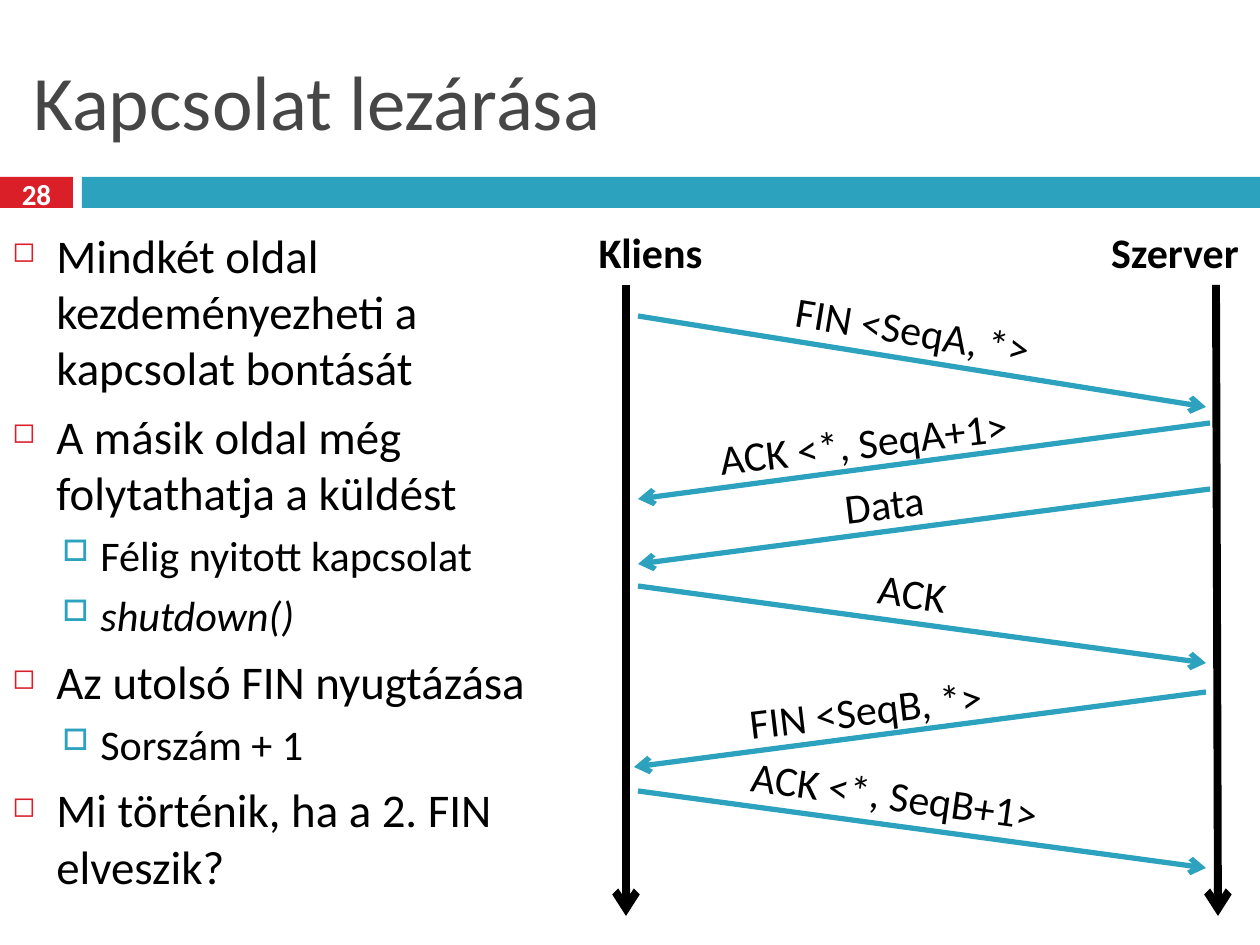
import pptx
import pptx.dml.color
import pptx.enum.shapes
import pptx.enum.text
import pptx.oxml.ns
import pptx.util
from lxml import etree

RGBColor = pptx.dml.color.RGBColor
BLACK = RGBColor(0x00, 0x00, 0x00)
WHITE = RGBColor(0xFF, 0xFF, 0xFF)
GRAY = RGBColor(0x46, 0x46, 0x46)
RED = RGBColor(0xDA, 0x1F, 0x28)
TEAL = RGBColor(0x2D, 0xA2, 0xBF)

ALIGN = pptx.enum.text.PP_ALIGN
ANCHOR = pptx.enum.text.MSO_ANCHOR
PX_PER_INCH = 126

# level: (size, left margin, first-line indent, space before, bullet, colour, bullet %)
LEVELS = [
    (26.8, 44, -44, 7, "◻", RED, 60),
    (24.1, 88, -38, 5.5, "□", TEAL, 70),
]

POINTS = [
    (0, "Mindkét oldal kezdeményezheti a kapcsolat bontását"),
    (0, "A másik oldal még folytathatja a küldést"),
    (1, "Félig nyitott kapcsolat"),
    (1, "shutdown()"),
    (0, "Az utolsó FIN nyugtázása"),
    (1, "Sorszám + 1"),
    (0, "Mi történik, ha a 2. FIN elveszik?"),
]

# text, arrow start, arrow end, label left, top and width, label rotation
MESSAGES = [
    ("FIN <SeqA, *>", (638, 316), (1206, 407), (782, 301, 299), 9.4),
    ("ACK <*, SeqA+1>", (1210, 423), (638, 499), (706, 407, 367), -6.9),
    ("Data", (1210, 489), (638, 564), (832, 471, 115), -6.9),
    ("ACK", (638, 586), (1206, 663), (866, 562, 112), 8),
    ("FIN <SeqB, *>", (1206, 692), (634, 767), (736, 675, 299), -6.9),
    ("ACK <*, SeqB+1>", (638, 791), (1206, 868), (738, 767, 367), 8),
]
LABEL_HEIGHT = 63


def px(length):
    return pptx.util.Emu(round(length * 914400 / PX_PER_INCH))


def add_xml(parent, tag, **attributes):
    return etree.SubElement(parent, pptx.oxml.ns.qn(tag), **attributes)


class SlideBuilder:
    font = "Calibri"

    def __init__(self, slide):
        self.slide = slide

    def bar(self, left, top, width, height, color):
        bar = self.slide.shapes.add_shape(
            pptx.enum.shapes.MSO_SHAPE.RECTANGLE,
            px(left), px(top), px(width), px(height))
        bar.shadow.inherit = False
        bar.fill.solid()
        bar.fill.fore_color.rgb = color
        bar.line.fill.background()

    def style(self, paragraph, size, color=BLACK, bold=False, italic=False):
        for run in paragraph.runs:
            run.font.name = self.font
            run.font.size = pptx.util.Pt(size)
            run.font.color.rgb = color
            run.font.bold = bold
            run.font.italic = italic

    def text(self, text, left, top, width, height, size=24, color=BLACK, bold=False,
             align=ALIGN.LEFT, anchor=ANCHOR.TOP, wrap=False, rotation=0):
        box = self.slide.shapes.add_textbox(px(left), px(top), px(width), px(height))
        box.rotation = rotation
        frame = box.text_frame
        frame.word_wrap = wrap
        frame.vertical_anchor = anchor
        frame.text = text
        frame.paragraphs[0].alignment = align
        self.style(frame.paragraphs[0], size, color, bold)

    def bullets(self, points, left, top, width, height):
        box = self.slide.shapes.add_textbox(px(left), px(top), px(width), px(height))
        frame = box.text_frame
        frame.word_wrap = True
        frame.text = "\n".join(text for _, text in points)
        for paragraph, (level, text) in zip(frame.paragraphs, points):
            size, margin, indent, space, bullet, color, percent = LEVELS[level]
            paragraph.level = level
            paragraph.space_before = pptx.util.Pt(space)
            self.style(paragraph, size, italic=text.endswith("()"))
            properties = paragraph._p.get_or_add_pPr()
            properties.set("marL", str(px(margin)))
            properties.set("indent", str(px(indent)))
            bullet_color = add_xml(properties, "a:buClr")
            add_xml(bullet_color, "a:srgbClr", val=str(color))
            add_xml(properties, "a:buSzPct", val=str(percent * 1000))
            add_xml(properties, "a:buChar", char=bullet)

    def arrow(self, start, end, color, width):
        arrow = self.slide.shapes.add_connector(
            pptx.enum.shapes.MSO_CONNECTOR.STRAIGHT,
            *map(px, start), *map(px, end))
        arrow.line.color.rgb = color
        arrow.line.width = pptx.util.Pt(width)
        add_xml(arrow.line._get_or_add_ln(), "a:tailEnd", type="arrow")
        add_xml(arrow._element.spPr, "a:effectLst")


def main():
    presentation = pptx.Presentation()
    presentation.slide_width = px(1260)
    presentation.slide_height = px(945)
    builder = SlideBuilder(presentation.slides.add_slide(presentation.slide_layouts[6]))

    builder.bar(0, 177, 73, 31, RED)
    builder.bar(82, 177, 1178, 31, TEAL)
    builder.text("Kapcsolat lezárása", 21, 32, 1218, 136, size=44, color=GRAY,
                 anchor=ANCHOR.MIDDLE, wrap=True)
    builder.text("28", 0, 173, 73, 42, size=16.6, color=WHITE, bold=True,
                 align=ALIGN.CENTER, anchor=ANCHOR.MIDDLE, wrap=True)
    builder.bullets(POINTS, 0, 220, 578, 703)

    builder.arrow((626, 285), (626, 916), BLACK, 4.5)
    builder.arrow((1216, 285), (1218, 916), BLACK, 4.5)
    for host, left, width in [("Kliens", 583, 135), ("Szerver", 1096, 158)]:
        builder.text(host, left, 220, width, LABEL_HEIGHT, bold=True, align=ALIGN.CENTER)

    for message, start, end, label, rotation in MESSAGES:
        builder.arrow(start, end, TEAL, 3)
        builder.text(message, *label, LABEL_HEIGHT, rotation=rotation)

    presentation.save("out.pptx")


if __name__ == "__main__":
    main()
